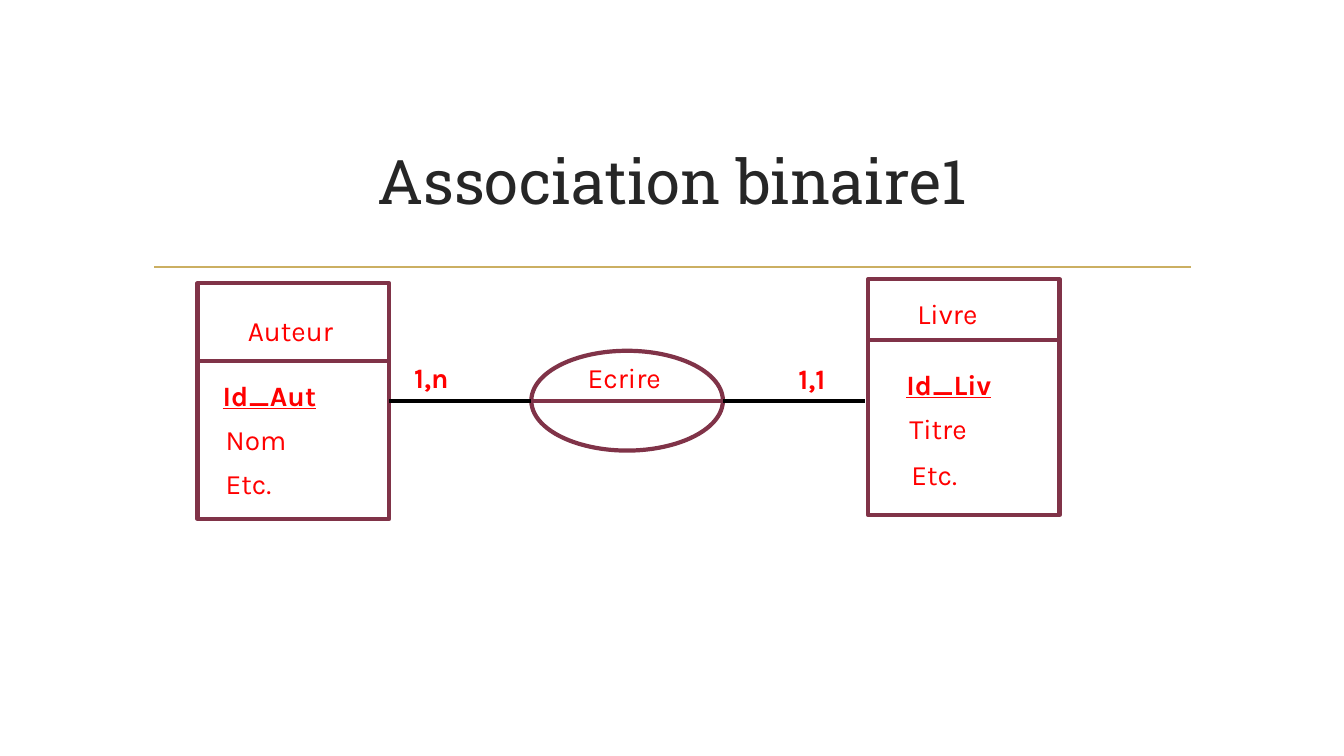
from lxml import etree
from pptx import Presentation
from pptx.dml.color import RGBColor
from pptx.enum.shapes import MSO_CONNECTOR, MSO_SHAPE
from pptx.enum.text import MSO_ANCHOR, PP_ALIGN
from pptx.oxml.ns import qn
from pptx.util import Inches, Pt

STRAIGHT = MSO_CONNECTOR.STRAIGHT
RECT, OVAL = MSO_SHAPE.RECTANGLE, MSO_SHAPE.OVAL
MIDDLE, CENTER = MSO_ANCHOR.MIDDLE, PP_ALIGN.CENTER
GOLD = RGBColor(0xCB, 0xAF, 0x62)
PLUM = RGBColor(0x80, 0x33, 0x48)
RED = RGBColor(0xFF, 0x00, 0x00)
DARK = RGBColor(0x26, 0x26, 0x26)
BLACK = RGBColor(0x00, 0x00, 0x00)
WHITE = RGBColor(0xFF, 0xFF, 0xFF)
WIDE, TALL, ROW = 1.9, 2.34, 0.44


def rule(slide, left, top, width, color, weight=3):
    """Draw a horizontal line."""
    line = slide.shapes.add_connector(
        STRAIGHT, Inches(left), Inches(top), Inches(left + width), Inches(top))
    line.line.color.rgb = color
    line.line.width = Pt(weight)
    etree.SubElement(line._element.spPr, qn("a:effectLst"))


def frame(slide, kind, left, top, width, height):
    """Draw a white shape with a plum outline."""
    shape = slide.shapes.add_shape(
        kind, Inches(left), Inches(top), Inches(width), Inches(height))
    shape.shadow.inherit = False
    shape.fill.solid()
    shape.fill.fore_color.rgb = WHITE
    shape.line.color.rgb = PLUM
    shape.line.width = Pt(3)


def label(slide, text, left, top, width, height=ROW, size=20,
          face="Karla", color=RED, bold=False, under=False):
    """Add a one-line text box and return its frame."""
    box = slide.shapes.add_textbox(
        Inches(left), Inches(top), Inches(width), Inches(height))
    body = box.text_frame
    body.word_wrap = True
    run = body.paragraphs[0].add_run()
    run.text = text
    font = run.font
    font.name, font.size, font.color.rgb = face, Pt(size), color
    font.bold, font.underline = bold, under
    return body


def title(slide, text, left, top, width, height):
    """Add the centred title and the gold line under it."""
    body = label(slide, text, left, top, width, height, 44, "Roboto Slab", DARK)
    body.vertical_anchor = MIDDLE
    body.paragraphs[0].alignment = CENTER
    rule(slide, left + 0.11, top + 1.58, 10.28, GOLD, 1.25)


def entity(slide, left, top, split, name, fields):
    """Draw an entity box; texts are offset from its corner, key first."""
    frame(slide, RECT, left, top, WIDE, TALL)
    rule(slide, left, top + split, WIDE, PLUM)
    text, x, y = name
    label(slide, text, left + x, top + y, 1.22)
    for i, (text, x, y) in enumerate(fields):
        key = i == 0
        label(slide, text, left + x, top + y, 1.59, bold=key, under=key)


def link(slide, left, top, width, height, name, near, far):
    """Draw the association oval with its two arms and cardinalities."""
    mid, arm = top + height / 2, 1.41
    frame(slide, OVAL, left, top, width, height)
    rule(slide, left, mid, width, PLUM)
    for x in (left - arm, left + width):
        rule(slide, x, mid, arm, BLACK)
    label(slide, name, left + 0.46, top + 0.05, 1.01)
    label(slide, near, left - 1.26, top + 0.05, 0.64, bold=True)
    label(slide, far, left + width + 0.65, top + 0.06, 0.64, bold=True)


def main():
    """Build and save the slide."""
    deck = Presentation()
    deck.slide_width, deck.slide_height = Inches(13.33), Inches(7.5)
    slide = deck.slides.add_slide(deck.slide_layouts[6])
    title(slide, "Association binaire1", 1.42, 1.07, 10.5, 1.43)
    entity(slide, 1.96, 2.81, 0.77, ("Auteur", 0.4, 0.25),
           [("Id_Aut", 0.15, 0.9), ("Nom", 0.18, 1.33), ("Etc.", 0.18, 1.77)])
    entity(slide, 8.61, 2.77, 0.6, ("Livre", 0.39, 0.12),
           [("Id_Liv", 0.28, 0.83), ("Titre", 0.31, 1.26), ("Etc.", 0.33, 1.72)])
    link(slide, 5.27, 3.48, WIDE, 0.99, "Ecrire", "1,n", "1,1")
    deck.save("out.pptx")


if __name__ == "__main__":
    main()
